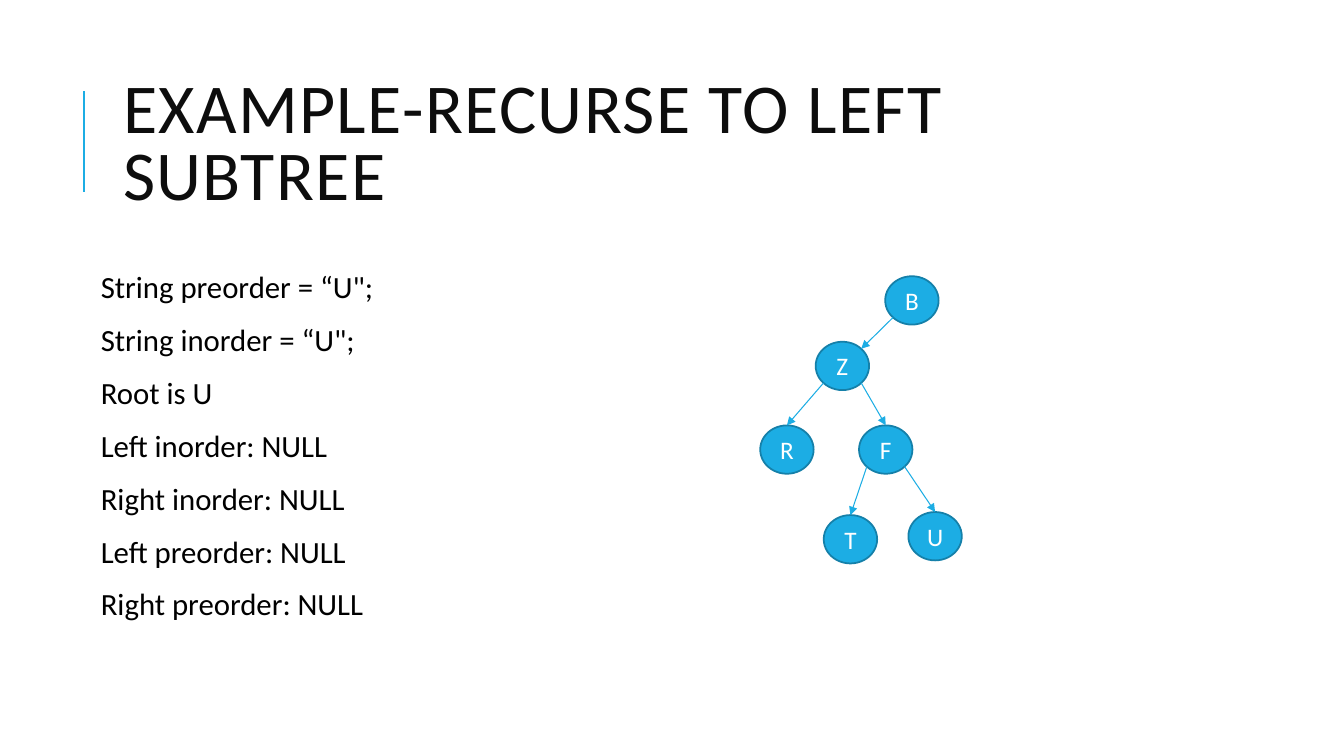
from math import sqrt

from lxml import etree
from pptx import Presentation
from pptx.dml.color import RGBColor
from pptx.enum.shapes import MSO_CONNECTOR, MSO_SHAPE
from pptx.enum.text import MSO_ANCHOR, MSO_AUTO_SIZE, PP_ALIGN
from pptx.oxml.ns import qn
from pptx.util import Inches, Pt

STRAIGHT, OVAL = MSO_CONNECTOR.STRAIGHT, MSO_SHAPE.OVAL
MIDDLE, TOP = MSO_ANCHOR.MIDDLE, MSO_ANCHOR.TOP
LEFT, CENTER = PP_ALIGN.LEFT, PP_ALIGN.CENTER
NO_FIT = MSO_AUTO_SIZE.NONE

# Content
TITLE = "EXAMPLE-RECURSE TO LEFT SUBTREE"
STEPS = [
    'String preorder = “U";',
    'String inorder = “U";',
    "Root is U",
    "Left inorder: NULL",
    "Right inorder: NULL",
    "Left preorder: NULL",
    "Right preorder: NULL",
]
NODES = {  # label: left, top
    "B": (8.78, 2.74),
    "Z": (8.09, 3.39),
    "R": (7.54, 4.22),
    "F": (8.52, 4.22),
    "T": (8.17, 5.11),
    "U": (9.01, 5.08),
}
EDGES = [  # parent, child, side of the parent, where it meets the child
    ("B", "Z", -1, "corner"),
    ("Z", "R", -1, "top"),
    ("Z", "F", 1, "top"),
    ("F", "T", -1, "top"),
    ("F", "U", 1, "top"),
]
NODE_W, NODE_H = 0.53, 0.48
BLUE, DARK_BLUE = "1CADE4", "1580A9"


def color(value):
    return RGBColor.from_string(value)


def set_font(p, size, value):
    p.font.name = "Calibri"
    p.font.size = Pt(size)
    p.font.color.rgb = color(value)


def place(shape, left, top, width, height):
    shape.left, shape.top = Inches(left), Inches(top)
    shape.width, shape.height = Inches(width), Inches(height)


def add_line(start, end, width, arrow=False):
    line = s.shapes.add_connector(STRAIGHT, *map(Inches, start + end))
    line.line.color.rgb = color(BLUE)
    line.line.width = Pt(width)
    if arrow:
        etree.SubElement(line.line._get_or_add_ln(), qn("a:tailEnd"), type="triangle")
    etree.SubElement(line._element.spPr, qn("a:effectLst"))
    return line


def diagonal_point(label, side_x, side_y):
    """Point on a node's outline, halfway between two of its sides."""
    left, top = NODES[label]
    return (left + NODE_W / 2 * (1 + side_x / sqrt(2)),
            top + NODE_H / 2 * (1 + side_y / sqrt(2)))


prs = Presentation()
prs.slide_width, prs.slide_height = Inches(13.33), Inches(7.5)
s = prs.slides.add_slide(prs.slide_layouts[1])

# Title with accent line
add_line((0.83, 1.9), (0.83, 0.9), 1.5)
title = s.shapes.title
place(title, 1.12, 0.64, 10.63, 1.64)
tf = title.text_frame
tf.text = TITLE
tf.word_wrap, tf.auto_size, tf.vertical_anchor = True, NO_FIT, MIDDLE
p = tf.paragraphs[0]
p.alignment, p.line_spacing = LEFT, 0.8
set_font(p, 50, "0D0D0D")
p.runs[0].font._element.set("spc", "100")

# Recursion steps
body = s.placeholders[1]
place(body, 0.95, 2.65, 10.63, 4.4)
tf = body.text_frame
tf.text = "\n".join(STEPS)
tf.word_wrap, tf.auto_size, tf.vertical_anchor = True, NO_FIT, TOP
tf.margin_left = tf.margin_right = tf.margin_top = tf.margin_bottom = Inches(0.05)
for p in tf.paragraphs:
    p.line_spacing, p.space_before, p.space_after = 0.9, Pt(12), Pt(2)
    set_font(p, 22, "000000")
    pPr = p._p.get_or_add_pPr()
    pPr.set("marL", "0")
    pPr.set("indent", "0")
    pPr.insert_element_before(etree.Element(qn("a:buNone")), "a:tabLst", "a:defRPr")

# Tree nodes
circles = {}
for label, (left, top) in NODES.items():
    node = s.shapes.add_shape(OVAL, *map(Inches, (left, top, NODE_W, NODE_H)))
    node.shadow.inherit = False
    node.fill.solid()
    node.fill.fore_color.rgb = color(BLUE)
    node.line.color.rgb = color(DARK_BLUE)
    node.line.width = Pt(1.25)
    tf = node.text_frame
    tf.text = label
    tf.vertical_anchor = MIDDLE
    p = tf.paragraphs[0]
    p.alignment = CENTER
    set_font(p, 18, "FFFFFF")
    circles[label] = node

# Tree edges
for parent, child, side, meet in EDGES:
    start = diagonal_point(parent, side, 1)
    end = diagonal_point(child, -side, -1)
    edge = add_line(start, end, 0.75, arrow=True)
    if meet == "top":
        edge.end_connect(circles[child], 0)

prs.save("out.pptx")
